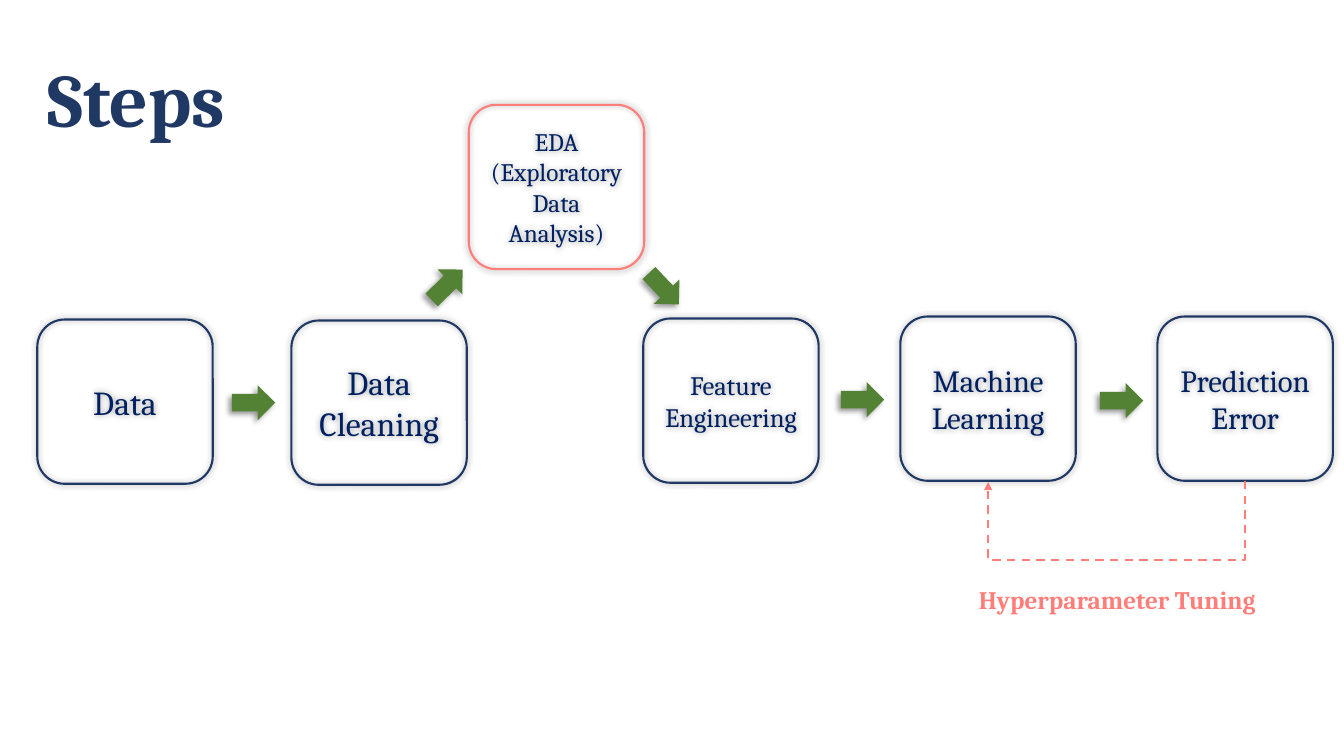
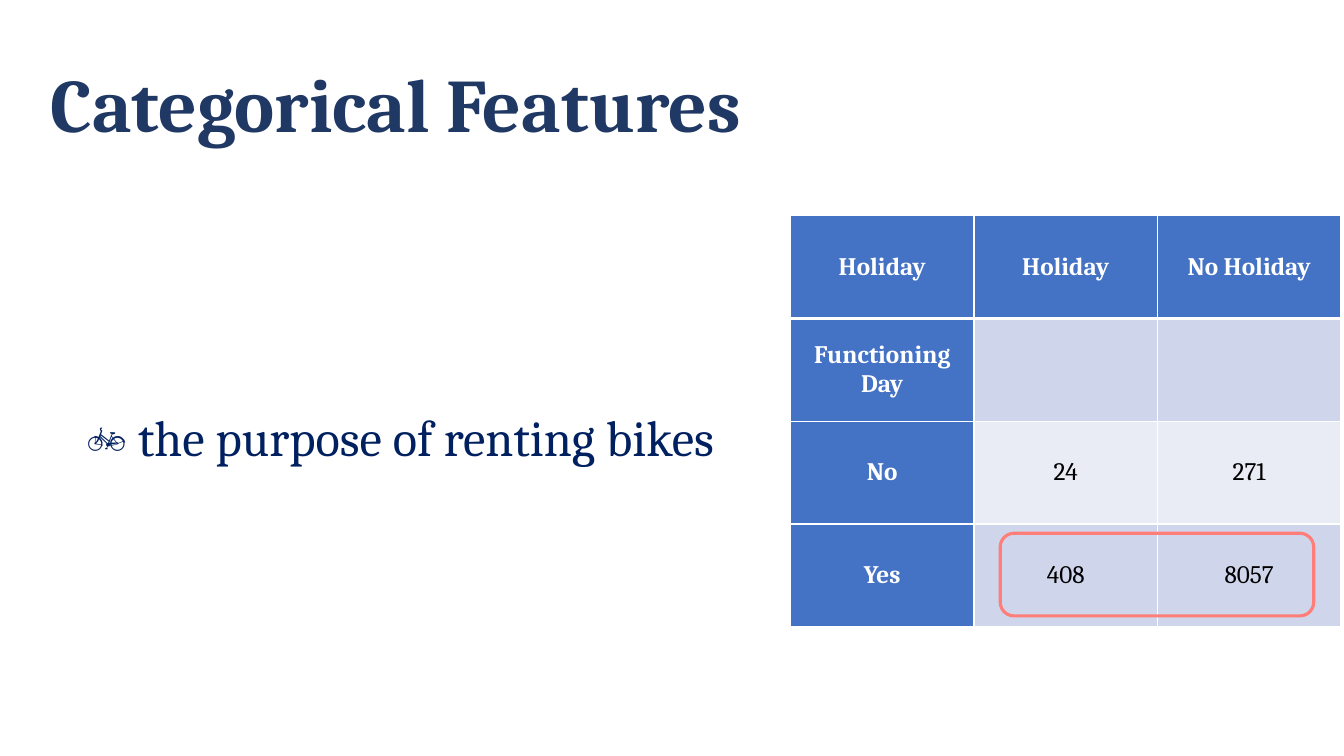
from pptx import Presentation
from pptx.dml.color import RGBColor
from pptx.enum.dml import MSO_LINE
from pptx.enum.shapes import MSO_CONNECTOR as Link, MSO_SHAPE as Kind
from pptx.enum.text import MSO_ANCHOR as Anchor, MSO_AUTO_SIZE as Auto, PP_ALIGN as Align
from pptx.oxml import parse_xml
from pptx.oxml.ns import nsdecls, qn
from pptx.util import Emu, Pt

# Shared look: 100 px to the inch
SCALE = 9144
FONT = "Cambria"
NAVY, INK, CORAL, GREEN = "203864", "002060", "FF7E79", "548235"
WHITE, BLACK, BLUE = "FFFFFF", "000000", "4472C4"
BANDS = ["CFD5EA", "E9EBF5"]

# Slide 1 content: left, top, font size, outline, lines
BOX_W, BOX_H = 174, 163
STEPS = [
    (37, 317, 24, NAVY, ["Data"]),
    (289, 318, 24, NAVY, ["Data Cleaning"]),
    (465, 104, 18, CORAL, ["EDA", "(Exploratory", "Data", "Analysis)"]),
    (638, 316, 19, NAVY, ["Feature", "Engineering"]),
    (893, 314, 22, NAVY, ["Machine", "Learning"]),
    (1148, 314, 22, NAVY, ["Prediction", "Error"]),
]
# Left, top, turn in degrees
ARROWS = [(230, 382, 0), (834, 379, 0), (1091, 380, 0),
          (422, 265, 315.5), (637, 269, 46.4)]
LOOP_DROP = 80

# Slide 2 content
BULLET = ("🚲", " the purpose of renting bikes")
ROWS = [
    ["Holiday", "Holiday", "No Holiday"],
    ["Functioning Day", "", ""],
    ["No", "24", "271"],
    ["Yes", "408", "8057"],
]
COL_W, ROW_H = 182, 102


def px(n):
    return Emu(round(n * SCALE))


def rgb(code):
    return RGBColor.from_string(code)


def place(shape, *box):
    shape.left, shape.top, shape.width, shape.height = map(px, box)


def write(par, text, size, color, bold=False):
    run = par.add_run()
    run.text = text
    font = run.font
    font.name, font.size, font.bold = FONT, Pt(size), bold
    font.color.rgb = rgb(color)


def fill_lines(frame, lines, size, color):
    for i, line in enumerate(lines):
        par = frame.add_paragraph() if i else frame.paragraphs[0]
        par.alignment = Align.CENTER
        write(par, line, size, color)


def add_title(slide, text, left, top):
    title = slide.shapes.title
    place(title, left, top, 1150, 145)
    frame = title.text_frame
    frame.auto_size = Auto.NONE
    frame.vertical_anchor = Anchor.MIDDLE
    par = frame.paragraphs[0]
    par.alignment = Align.LEFT
    par.line_spacing = 0.9
    write(par, text, 54, NAVY, True)


def add_form(slide, kind, box, fill=None, line=None, width=1.5):
    shape = slide.shapes.add_shape(kind, *map(px, box))
    shape.shadow.inherit = False
    if fill:
        shape.fill.solid()
        shape.fill.fore_color.rgb = rgb(fill)
    else:
        shape.fill.background()
    if line:
        shape.line.color.rgb = rgb(line)
        shape.line.width = Pt(width)
    else:
        shape.line.fill.background()
    return shape


def add_shadow(shape, blur, dist, turn):
    effects = shape._element.spPr.find(qn("a:effectLst"))
    effects.append(parse_xml(
        f'<a:outerShdw {nsdecls("a")} blurRad="{Pt(blur)}" dist="{Pt(dist)}" '
        f'dir="{turn * 60000}" algn="ctr" rotWithShape="0"><a:srgbClr val="{BLACK}">'
        '<a:alpha val="40000"/></a:srgbClr></a:outerShdw>'))


def add_loop(slide):
    # A three-part elbow, turned so that it hangs below the last two boxes
    mid, top, span = 1107, 350, 255
    loop = slide.shapes.add_connector(
        Link.ELBOW, px(mid), px(top), px(mid + 1), px(top + span))
    loop.line.color.rgb = rgb(CORAL)
    loop.line.width = Pt(1.5)
    loop.line.dash_style = MSO_LINE.DASH
    props = loop._element.spPr
    props.find(qn("a:xfrm")).set("rot", str(90 * 60000))
    guides = props.find(qn("a:prstGeom")).get_or_add_avLst()
    guides.append(parse_xml(
        f'<a:gd {nsdecls("a")} name="adj1" fmla="val {LOOP_DROP * 100000}"/>'))
    props.find(qn("a:ln")).append(
        parse_xml(f'<a:tailEnd {nsdecls("a")} type="triangle"/>'))
    props.append(parse_xml(f'<a:effectLst {nsdecls("a")}/>'))


def add_edges(cell, row, col):
    widths = {
        "L": 2.25 if col == 1 else 1,
        "R": 2.25 if col == 0 else 1,
        "T": 3 if row == 1 else 1,
        "B": 3 if row == 0 else 1,
    }
    props = cell._tc.get_or_add_tcPr()
    for side, width in widths.items():
        props.append(parse_xml(
            f'<a:ln{side} {nsdecls("a")} w="{Pt(width)}"><a:solidFill>'
            f'<a:srgbClr val="{WHITE}"/></a:solidFill></a:ln{side}>'))


def add_grid(slide, left, top):
    rows, cols = len(ROWS), len(ROWS[0])
    table = slide.shapes.add_table(
        rows, cols, px(left), px(top), px(cols * COL_W), px(rows * ROW_H)).table
    for r, texts in enumerate(ROWS):
        for c, text in enumerate(texts):
            cell = table.cell(r, c)
            head = r == 0 or c == 0
            add_edges(cell, r, c)
            cell.fill.solid()
            cell.fill.fore_color.rgb = rgb(BLUE if head else BANDS[(r - 1) % 2])
            cell.vertical_anchor = Anchor.MIDDLE
            if text:
                par = cell.text_frame.paragraphs[0]
                par.alignment = Align.CENTER
                write(par, text, 18, WHITE if head else BLACK, head)


def add_point(slide):
    body = slide.placeholders[1]
    place(body, 76, 180, 769, 476)
    frame = body.text_frame
    frame.auto_size = Auto.NONE
    frame.vertical_anchor = Anchor.MIDDLE
    par = frame.paragraphs[0]
    mark, text = BULLET
    props = par._p.get_or_add_pPr()
    props.set("marL", str(px(25)))
    props.set("indent", str(px(-25)))
    props.append(parse_xml(f'<a:buSzPct {nsdecls("a")} val="80000"/>'))
    props.append(parse_xml(f'<a:buChar {nsdecls("a")} char="{mark}"/>'))
    par.line_spacing = 1.5
    par.space_before = Pt(0)
    write(par, text, 36, INK)


def steps_slide(deck):
    slide = deck.slides.add_slide(deck.slide_layouts[5])
    add_title(slide, "Steps", 37, 30)
    # Boxes
    for left, top, size, line, lines in STEPS:
        box = add_form(slide, Kind.ROUNDED_RECTANGLE,
                       (left, top, BOX_W, BOX_H), line=line)
        add_shadow(box, 5, 0, 0)
        box.text_frame.vertical_anchor = Anchor.MIDDLE
        fill_lines(box.text_frame, lines, size, INK)
    # Arrows
    for left, top, turn in ARROWS:
        arrow = add_form(slide, Kind.RIGHT_ARROW, (left, top, 43, 35), GREEN)
        arrow.rotation = turn
        add_shadow(arrow, 4, 3, 135)
    # Feedback loop and its label
    add_loop(slide)
    label = slide.shapes.add_textbox(*map(px, (961, 575, 302, 40)))
    label.text_frame.word_wrap = False
    write(label.text_frame.paragraphs[0], "Hyperparameter Tuning", 18, CORAL, True)


def features_slide(deck):
    slide = deck.slides.add_slide(deck.slide_layouts[1])
    add_title(slide, "Categorical Features", 40, 35)
    add_point(slide)
    add_grid(slide, 784, 214)
    # Frame around the last row's counts
    add_form(slide, Kind.ROUNDED_RECTANGLE, (992, 529, 311, 82),
             line=CORAL, width=2.25)


def main():
    deck = Presentation()
    deck.slide_width, deck.slide_height = px(1333), px(750)
    steps_slide(deck)
    features_slide(deck)
    deck.save("out.pptx")


if __name__ == "__main__":
    main()
